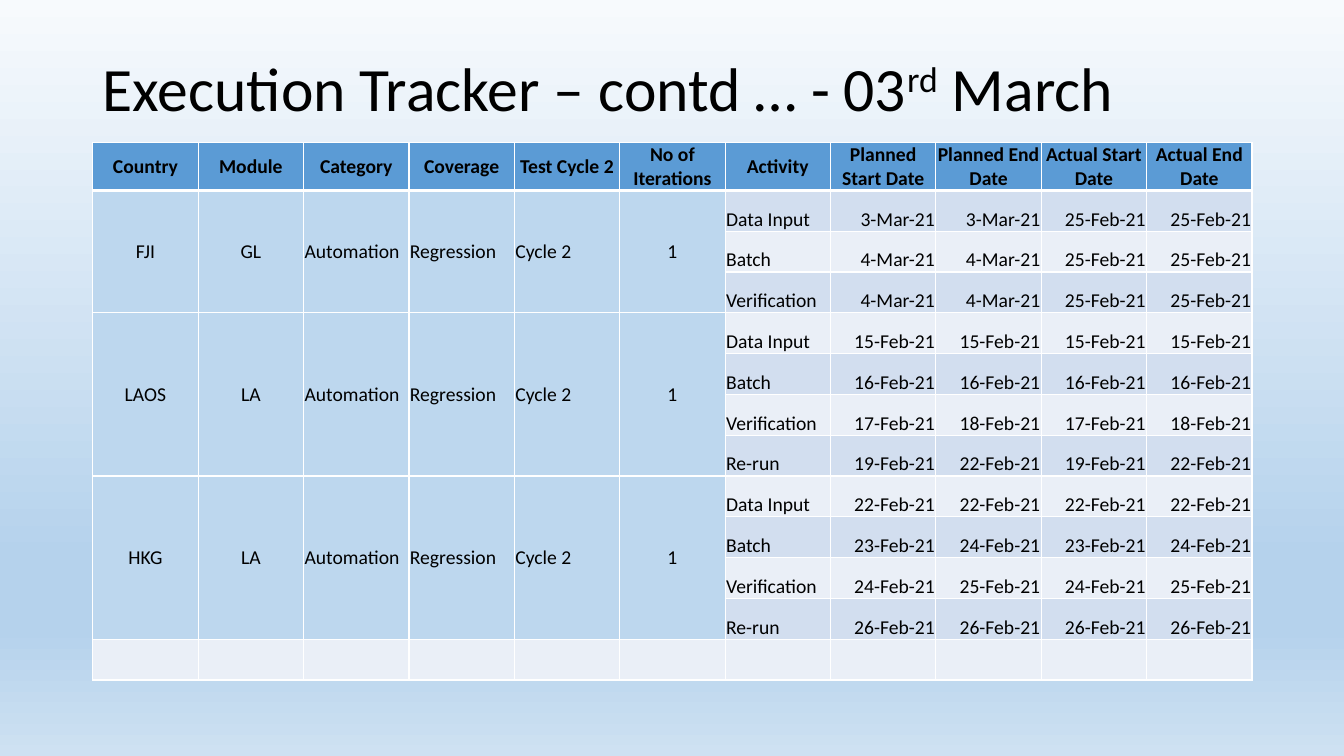
import lxml.etree
import pptx
import pptx.dml.color
import pptx.enum.text
import pptx.oxml.ns
import pptx.util

Inches = pptx.util.Inches
Pt = pptx.util.Pt
RGBColor = pptx.dml.color.RGBColor
Align = pptx.enum.text.PP_ALIGN
Anchor = pptx.enum.text.MSO_ANCHOR
qn = pptx.oxml.ns.qn

BLACK = RGBColor(0x00, 0x00, 0x00)
WHITE = RGBColor(0xFF, 0xFF, 0xFF)
HEADER_BLUE = RGBColor(0x5B, 0x9B, 0xD5)
COUNTRY_BLUE = RGBColor(0xBD, 0xD7, 0xEE)
ODD_BAND = RGBColor(0xD2, 0xDE, 0xEF)
EVEN_BAND = RGBColor(0xEA, 0xEF, 0xF7)
SKY_STOPS = [
    (0, RGBColor(0xF7, 0xFA, 0xFD)),
    (74, RGBColor(0xB5, 0xD2, 0xEC)),
    (83, RGBColor(0xB5, 0xD2, 0xEC)),
    (100, RGBColor(0xCE, 0xE1, 0xF2)),
]

TITLE_FONT = {"name": "Calibri", "size": Pt(44)}
CELL_FONT = {"name": "Calibri", "size": Pt(14)}
CELL_MARGINS = {
    "margin_left": Inches(0.01),
    "margin_top": Inches(0.01),
    "margin_right": Inches(0.01),
    "margin_bottom": 0,
}
HEADER_HEIGHT = Inches(0.48)

TITLE_PARTS = [("Execution Tracker – contd … - 03", 0), ("rd", 30), (" March", 0)]
HEADINGS = [
    "Country", "Module", "Category", "Coverage", "Test Cycle 2", "No of Iterations", "Activity",
    "Planned Start Date", "Planned End Date", "Actual Start Date", "Actual End Date",
]
SHARED_DETAILS = ["Automation", "Regression", "Cycle 2", "1"]
DETAIL_ALIGNMENTS = [Align.CENTER, Align.CENTER, Align.LEFT, Align.LEFT, Align.LEFT, Align.CENTER]
ACTIVITIES = ["Data Input", "Batch", "Verification", "Re-run"]
COUNTRIES = [
    ("FJI", "GL", [
        ["3-Mar-21", "3-Mar-21", "25-Feb-21", "25-Feb-21"],
        ["4-Mar-21", "4-Mar-21", "25-Feb-21", "25-Feb-21"],
        ["4-Mar-21", "4-Mar-21", "25-Feb-21", "25-Feb-21"],
    ]),
    ("LAOS", "LA", [
        ["15-Feb-21", "15-Feb-21", "15-Feb-21", "15-Feb-21"],
        ["16-Feb-21", "16-Feb-21", "16-Feb-21", "16-Feb-21"],
        ["17-Feb-21", "18-Feb-21", "17-Feb-21", "18-Feb-21"],
        ["19-Feb-21", "22-Feb-21", "19-Feb-21", "22-Feb-21"],
    ]),
    ("HKG", "LA", [
        ["22-Feb-21", "22-Feb-21", "22-Feb-21", "22-Feb-21"],
        ["23-Feb-21", "24-Feb-21", "23-Feb-21", "24-Feb-21"],
        ["24-Feb-21", "25-Feb-21", "24-Feb-21", "25-Feb-21"],
        ["26-Feb-21", "26-Feb-21", "26-Feb-21", "26-Feb-21"],
    ]),
]


def apply_format(target, values):
    """Set each named attribute of the target."""
    for name, value in values.items():
        setattr(target, name, value)


def paint_background(slide):
    """Fill the slide with the vertical sky gradient."""
    fill = slide.background.fill
    fill.gradient()
    fill.gradient_angle = 270
    stops = next(slide.element.iter(qn("a:gsLst")))
    for stop in list(stops):
        stops.remove(stop)
    for percent, color in SKY_STOPS:
        stop = lxml.etree.SubElement(stops, qn("a:gs"), pos=str(percent * 1000))
        lxml.etree.SubElement(stop, qn("a:srgbClr"), val=str(color))


def add_title(slide, left, top, width, height):
    """Write the title with its raised ordinal in the given box."""
    frame = slide.shapes.add_textbox(left, top, width, height).text_frame
    apply_format(frame, {"word_wrap": True, "vertical_anchor": Anchor.MIDDLE})
    paragraph = frame.paragraphs[0]
    paragraph.line_spacing = 0.9
    for text, raised in TITLE_PARTS:
        run = paragraph.add_run()
        run.text = text
        apply_format(run.font, TITLE_FONT)
        run.font.color.rgb = BLACK
        if raised:
            run.font._element.set("baseline", str(raised * 1000))


def style_cell(cell, fill_color, top=1, bottom=1):
    """Give a cell its margins, white borders and fill."""
    apply_format(cell, CELL_MARGINS)
    properties = cell._tc.get_or_add_tcPr()
    for side, points in {"L": 1, "R": 1, "T": top, "B": bottom}.items():
        line = lxml.etree.SubElement(properties, qn(f"a:ln{side}"), w=str(Pt(points)))
        solid = lxml.etree.SubElement(line, qn("a:solidFill"))
        lxml.etree.SubElement(solid, qn("a:srgbClr"), val=str(WHITE))
    cell.fill.solid()
    cell.fill.fore_color.rgb = fill_color


def write_cell(cell, text, alignment, anchor=Anchor.MIDDLE, bold=False):
    """Write one line of text into a cell."""
    cell.vertical_anchor = anchor
    paragraph = cell.text_frame.paragraphs[0]
    paragraph.alignment = alignment
    run = paragraph.add_run()
    run.text = text
    apply_format(run.font, {**CELL_FONT, "bold": bold})
    run.font.color.rgb = BLACK


def add_country(tracker, first_row, country, module, schedule):
    """Fill the rows of one country and merge its shared cells."""
    details = [country, module, *SHARED_DETAILS]
    for column, (detail, alignment) in enumerate(zip(details, DETAIL_ALIGNMENTS)):
        cell = tracker.cell(first_row, column)
        cell.merge(tracker.cell(first_row + len(schedule) - 1, column))
        write_cell(cell, detail, alignment)
    for row, (activity, dates) in enumerate(zip(ACTIVITIES, schedule), first_row):
        write_cell(tracker.cell(row, len(details)), activity, Align.LEFT, Anchor.BOTTOM)
        for column, date in enumerate(dates, len(details) + 1):
            write_cell(tracker.cell(row, column), date, Align.RIGHT, Anchor.BOTTOM)


def add_tracker(slide, left, top, width, height):
    """Build the execution table, ending in an empty row, in the given box."""
    activity_count = sum(len(schedule) for _, _, schedule in COUNTRIES)
    row_count = activity_count + 2
    tracker = slide.shapes.add_table(row_count, len(HEADINGS), left, top, width, height).table
    tracker.horz_banding = False
    for column in tracker.columns:
        column.width = width // len(HEADINGS)
    for row in tracker.rows:
        row.height = (height - HEADER_HEIGHT) // (row_count - 1)
    tracker.rows[0].height = HEADER_HEIGHT

    for column, heading in enumerate(HEADINGS):
        style_cell(tracker.cell(0, column), HEADER_BLUE, bottom=3)
        write_cell(tracker.cell(0, column), heading, Align.CENTER, bold=True)
        for row in range(1, row_count):
            band = ODD_BAND if row % 2 else EVEN_BAND
            shared = column < len(DETAIL_ALIGNMENTS) and row <= activity_count
            style_cell(tracker.cell(row, column), COUNTRY_BLUE if shared else band, top=3 if row == 1 else 1)

    first_row = 1
    for country, module, schedule in COUNTRIES:
        add_country(tracker, first_row, country, module, schedule)
        first_row += len(schedule)


def main():
    """Build the execution tracker slide and save it."""
    deck = pptx.Presentation()
    apply_format(deck, {"slide_width": Inches(13.33), "slide_height": Inches(7.5)})
    slide = deck.slides.add_slide(deck.slide_layouts[6])
    paint_background(slide)
    left, width = Inches(0.92), Inches(11.5)
    add_title(slide, left, Inches(0.4), width, Inches(1.01))
    add_tracker(slide, left, Inches(1.41), width, Inches(5.34))
    deck.save("out.pptx")


if __name__ == "__main__":
    main()
